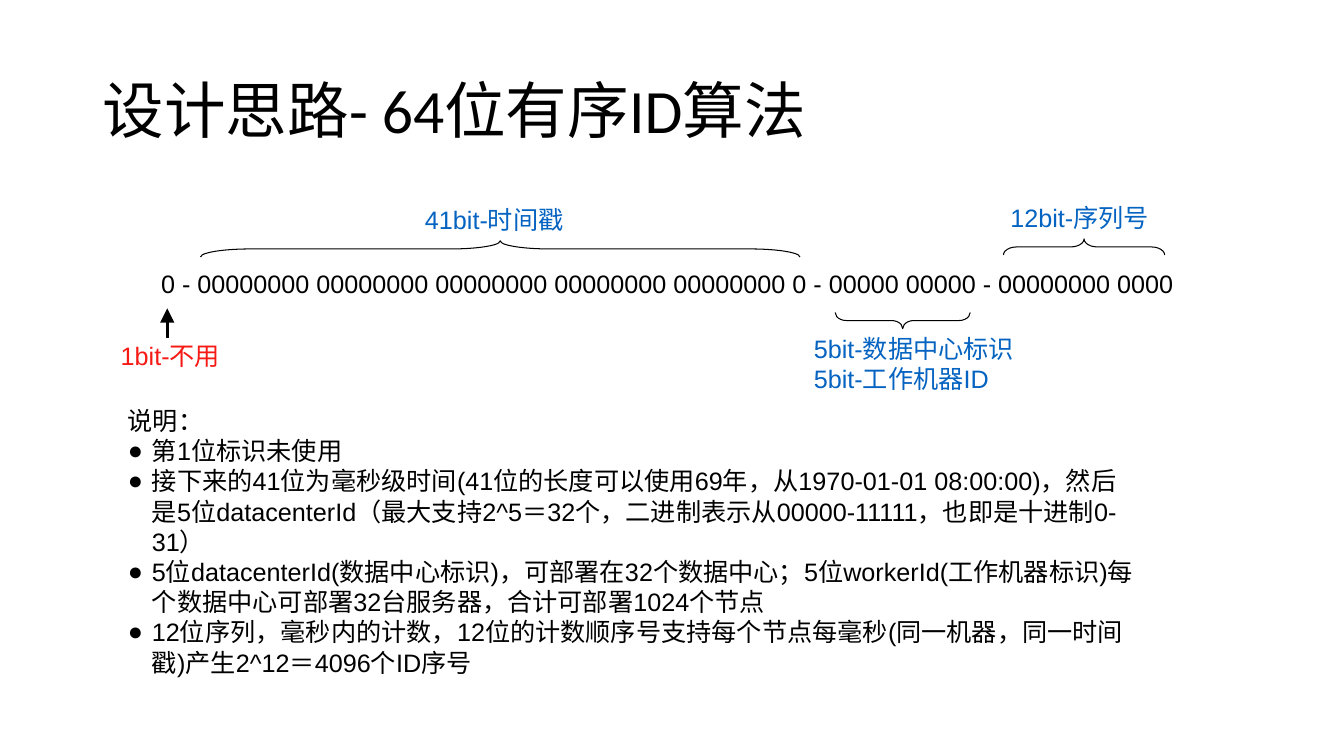
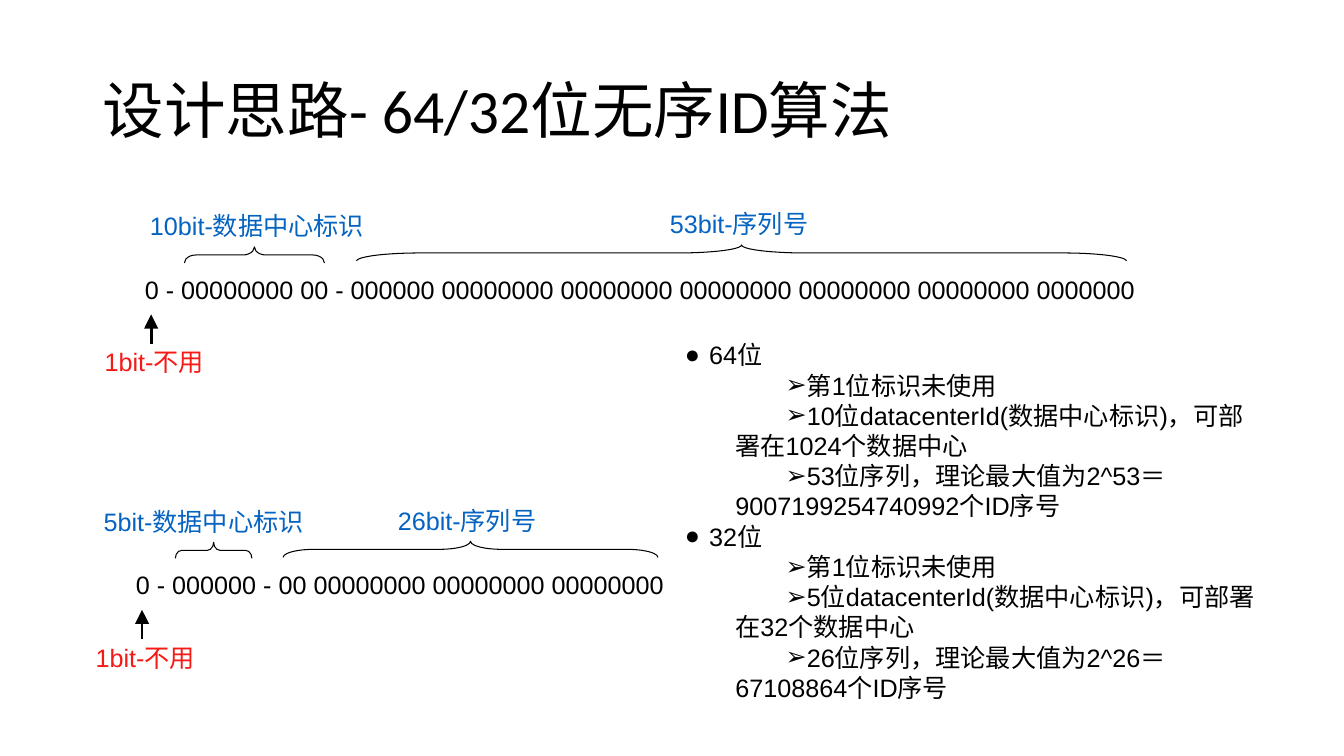
"""Build two slides that explain the bit layouts of ordered and unordered ID algorithms."""
from dataclasses import dataclass
from typing import Optional

from lxml import etree
from pptx import Presentation
from pptx import slide as sl
from pptx import util as u
from pptx.dml import color
from pptx.enum import shapes, text
from pptx.oxml import ns


@dataclass(frozen=True)
class Theme:
    ink: str = "000000"
    label: str = "0563C1"
    warning: str = "F61914"
    title_font: str = "Calibri"
    body_font: str = "Arial"
    title_size: float = 44
    body_size: float = 18
    brace_line: float = 0.75
    arrow_line: float = 2


@dataclass(frozen=True)
class Bullet:
    mark: str
    margin: float
    indent: float
    level: int = 0


@dataclass(frozen=True)
class Line:
    words: str
    bullet: Optional[Bullet] = None


@dataclass(frozen=True)
class Segment:
    label: str
    left: float
    width: float
    label_left: float
    label_width: float
    offset: float = -0.22
    below: bool = False


@dataclass(frozen=True)
class BitRow:
    bits: str
    left: float
    top: float
    width: float
    segments: tuple[Segment, ...]


@dataclass(frozen=True)
class Notes:
    left: float
    top: float
    width: float
    height: float
    lines: tuple[Line, ...]


@dataclass(frozen=True)
class Page:
    title: str
    rows: tuple[BitRow, ...]
    notes: Notes


THEME = Theme()
BRACE_DEPTH = 0.16
LABEL_HEIGHT = 0.4
LABEL_RISE = 0.41
DOT = Bullet("●", 0.24, -0.24)
POINT = Bullet("➢", 0.5, 0.5, level=1)

PAGES = (
    Page(
        "设计思路- 64位有序ID算法",
        (
            BitRow(
                "0 - 00000000 00000000 00000000 00000000 00000000 0 - 00000 00000 - 00000000 0000",
                1.5, 2.61, 10.25,
                (
                    Segment("41bit-时间戳", 1.99, 5.95, 4.12, 1.67),
                    Segment("12bit-序列号", 9.96, 1.6, 9.93, 1.67, offset=-0.24),
                    Segment("5bit-数据中心标识\n5bit-工作机器ID", 8.29, 1.34, 7.98, 2.41,
                            offset=0.49, below=True),
                ),
            ),
        ),
        Notes(1.17, 3.97, 10.2, 2.8, (
            Line("说明："),
            Line("第1位标识未使用", DOT),
            Line("接下来的41位为毫秒级时间(41位的长度可以使用69年，从1970-01-01 08:00:00)，"
                 "然后是5位datacenterId（最大支持2^5＝32个，二进制表示从00000-11111，"
                 "也即是十进制0-31）", DOT),
            Line("5位datacenterId(数据中心标识)，可部署在32个数据中心；5位workerId(工作机器标识)"
                 "每个数据中心可部署32台服务器，合计可部署1024个节点", DOT),
            Line("12位序列，毫秒内的计数，12位的计数顺序号支持每个节点每毫秒"
                 "(同一机器，同一时间戳)产生2^12＝4096个ID序号", DOT),
        )),
    ),
    Page(
        "设计思路- 64/32位无序ID算法",
        (
            BitRow(
                "0 - 00000000 00 - 000000 00000000 00000000 00000000 00000000 00000000 0000000",
                1.34, 2.67, 10.03,
                (
                    Segment("10bit-数据中心标识", 1.83, 1.39, 1.39, 2.39),
                    Segment("53bit-序列号", 3.54, 7.64, 6.55, 1.67, offset=-0.24),
                ),
            ),
            BitRow(
                "0 - 000000 - 00 00000000 00000000 00000000",
                1.25, 5.6, 5.44,
                (
                    Segment("5bit-数据中心标识", 1.74, 0.76, 0.93, 2.39),
                    Segment("26bit-序列号", 2.81, 3.72, 3.85, 1.67, offset=-0.23),
                ),
            ),
        ),
        Notes(6.7, 3.32, 5.99, 3.7, (
            Line("64位", DOT),
            Line("第1位标识未使用", POINT),
            Line("10位datacenterId(数据中心标识)，可部署在1024个数据中心", POINT),
            Line("53位序列，理论最大值为2^53＝9007199254740992个ID序号", POINT),
            Line("32位", DOT),
            Line("第1位标识未使用", POINT),
            Line("5位datacenterId(数据中心标识)，可部署在32个数据中心", POINT),
            Line("26位序列，理论最大值为2^26＝67108864个ID序号", POINT),
        )),
    ),
)


def rgb(value: str) -> color.RGBColor:
    return color.RGBColor.from_string(value)


def set_bullet(paragraph, bullet: Bullet) -> None:
    paragraph.level = bullet.level
    props = paragraph._p.get_or_add_pPr()
    props.set("marL", str(u.Inches(bullet.margin)))
    props.set("indent", str(u.Inches(bullet.indent)))
    tint = etree.SubElement(props, ns.qn("a:buClr"))
    etree.SubElement(tint, ns.qn("a:srgbClr"), val=THEME.ink)
    etree.SubElement(props, ns.qn("a:buFont"), typeface=THEME.body_font)
    etree.SubElement(props, ns.qn("a:buChar"), char=bullet.mark)


def add_text(slide: sl.Slide, lines: tuple[Line, ...], left: float, top: float,
             width: float, height: float, *, size: float = THEME.body_size,
             font: str = THEME.body_font, ink: str = THEME.ink, wrap: bool = True,
             grow: bool = True, middle: bool = False,
             spacing: Optional[float] = None) -> None:
    frame = slide.shapes.add_textbox(
        u.Inches(left), u.Inches(top), u.Inches(width), u.Inches(height)).text_frame
    frame.word_wrap = wrap
    frame.auto_size = (text.MSO_AUTO_SIZE.SHAPE_TO_FIT_TEXT if grow
                       else text.MSO_AUTO_SIZE.NONE)
    frame.vertical_anchor = text.MSO_ANCHOR.MIDDLE if middle else text.MSO_ANCHOR.TOP
    for index, line in enumerate(lines):
        paragraph = frame.add_paragraph() if index else frame.paragraphs[0]
        if spacing:
            paragraph.line_spacing = spacing
        if line.bullet:
            set_bullet(paragraph, line.bullet)
        run = paragraph.add_run()
        run.text = line.words
        run.font.size = u.Pt(size)
        run.font.name = font
        run.font.color.rgb = rgb(ink)


def add_brace(slide: sl.Slide, left: float, top: float, width: float, below: bool) -> None:
    brace = slide.shapes.add_shape(
        shapes.MSO_SHAPE.LEFT_BRACE,
        u.Inches(left + (width - BRACE_DEPTH) / 2),
        u.Inches(top - (width - BRACE_DEPTH) / 2),
        u.Inches(BRACE_DEPTH), u.Inches(width))
    brace.rotation = 270 if below else 90
    brace.adjustments[0] = width / BRACE_DEPTH / 12
    brace.shadow.inherit = False
    brace.fill.background()
    brace.line.color.rgb = rgb(THEME.ink)
    brace.line.width = u.Pt(THEME.brace_line)


def add_segment(slide: sl.Slide, segment: Segment, row_top: float) -> None:
    top = row_top + segment.offset
    add_brace(slide, segment.left, top, segment.width, segment.below)
    lines = tuple(Line(words) for words in segment.label.split("\n"))
    label_top = top + BRACE_DEPTH if segment.below else top - LABEL_RISE
    add_text(slide, lines, segment.label_left, label_top, segment.label_width,
             LABEL_HEIGHT + 0.3 * (len(lines) - 1), ink=THEME.label)


def add_arrow(slide: sl.Slide, x: float, start: float, end: float) -> None:
    arrow = slide.shapes.add_connector(
        shapes.MSO_CONNECTOR.STRAIGHT,
        u.Inches(x), u.Inches(start), u.Inches(x), u.Inches(end))
    arrow.line.color.rgb = rgb(THEME.ink)
    arrow.line.width = u.Pt(THEME.arrow_line)
    etree.SubElement(arrow.line._get_or_add_ln(), ns.qn("a:tailEnd"),
                     type="triangle", w="lg", len="lg")
    etree.SubElement(arrow._element.spPr, ns.qn("a:effectLst"))


def add_bit_row(slide: sl.Slide, row: BitRow) -> None:
    add_text(slide, (Line(row.bits),), row.left, row.top, row.width, LABEL_HEIGHT, wrap=False)
    for segment in row.segments:
        add_segment(slide, segment, row.top)
    add_arrow(slide, row.left + 0.16, row.top + 0.74, row.top + 0.45)
    add_text(slide, (Line("1bit-不用"),), row.left - 0.4, row.top + 0.72, 1.5,
             LABEL_HEIGHT, ink=THEME.warning)


def add_page(deck, page: Page) -> None:
    slide = deck.slides.add_slide(deck.slide_layouts[6])
    add_text(slide, (Line(page.title),), 0.92, 0.4, 11.5, 1.45, size=THEME.title_size,
             font=THEME.title_font, grow=False, middle=True, spacing=0.9)
    for row in page.rows:
        add_bit_row(slide, row)
    notes = page.notes
    add_text(slide, notes.lines, notes.left, notes.top, notes.width, notes.height)


def main() -> None:
    deck = Presentation()
    deck.slide_width = u.Inches(13.34)
    deck.slide_height = u.Inches(7.5)
    for page in PAGES:
        add_page(deck, page)
    deck.save("out.pptx")


if __name__ == "__main__":
    main()
